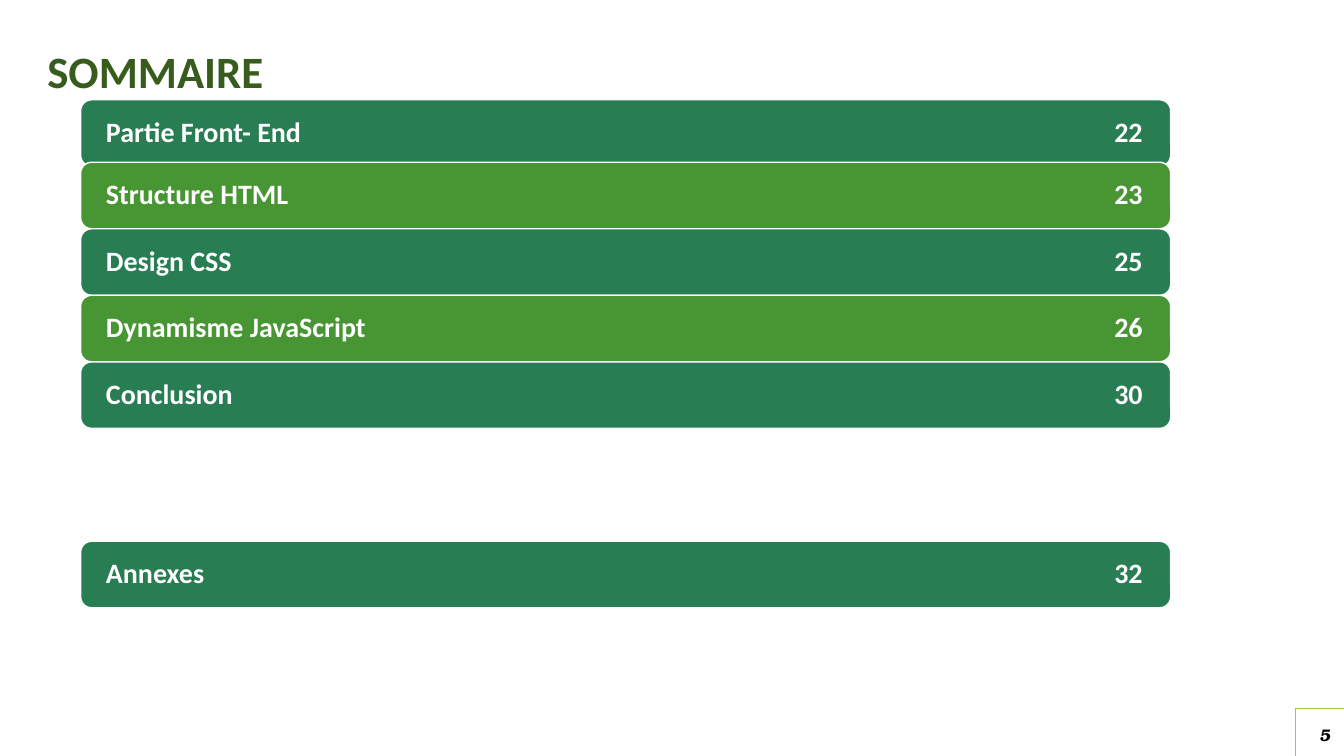
from lxml import etree
from pptx import Presentation
from pptx.dml.color import RGBColor
from pptx.enum import shapes, text
from pptx.oxml.ns import qn
from pptx.util import Inches, Pt

DARK_GREEN, LIGHT_GREEN = "297D53", "489633"
PITCH = 0.66
ENTRIES = [
    ("Partie Front- End", "22", 0.99),
    ("Structure HTML", "23", 1.61),
    ("Design CSS", "25", 1.61 + PITCH),
    ("Dynamisme JavaScript", "26", 1.61 + 2 * PITCH),
    ("Conclusion", "30", 1.61 + 3 * PITCH),
    ("Annexes", "32", 5.37),
]


def rgb(value):
    """Turn a hex string into a colour."""
    return RGBColor.from_string(value)


def add_run(p, words, size, color, font="Calibri", italic=False):
    """Add a bold formatted run to a paragraph."""
    r = p.add_run()
    r.text = words
    r.font.name, r.font.size = font, Pt(size)
    r.font.bold, r.font.italic = True, italic
    r.font.color.rgb = rgb(color)


def set_frame(tf, side=0):
    """Centre a text frame vertically with the given side margins."""
    tf.margin_left = tf.margin_right = Inches(side)
    tf.margin_top = tf.margin_bottom = 0
    tf.vertical_anchor = text.MSO_ANCHOR.MIDDLE
    tf.auto_size = text.MSO_AUTO_SIZE.NONE
    tf.word_wrap = True


def add_right_tab(p, position):
    """Give a paragraph one right-aligned tab stop."""
    tabs = etree.SubElement(p._p.get_or_add_pPr(), qn("a:tabLst"))
    etree.SubElement(tabs, qn("a:tab"), pos=str(Inches(position)), algn="r")


def add_box(s, kind, box, line, width, fill=None):
    """Add an outlined shape without shadow."""
    sp = s.shapes.add_shape(kind, *map(Inches, box))
    sp.shadow.inherit = False
    sp.line.color.rgb, sp.line.width = rgb(line), Pt(width)
    if fill:
        sp.fill.solid()
        sp.fill.fore_color.rgb = rgb(fill)
    else:
        sp.fill.background()
    return sp


def add_title(s, words):
    """Fill and place the title placeholder."""
    sp = s.shapes.title
    sp.left, sp.top, sp.width, sp.height = map(Inches, (0.47, 0.47, 12.4, 0.52))
    set_frame(sp.text_frame)
    p = sp.text_frame.paragraphs[0]
    p.alignment, p.line_spacing = text.PP_ALIGN.LEFT, 0.9
    add_run(p, words, 32, "375C1E")


def add_entry(s, label, page, top, fill):
    """Add one contents bar with its label and page number."""
    sp = add_box(s, shapes.MSO_SHAPE.ROUNDED_RECTANGLE,
                 (0.8, top, 10.82, 0.66), "FFFFFF", 1, fill)
    set_frame(sp.text_frame, 0.22)
    p = sp.text_frame.paragraphs[0]
    add_right_tab(p, 10.29)
    p.alignment, p.line_spacing = text.PP_ALIGN.LEFT, 0.9
    add_run(p, f"{label}\t{page}", 20, "FFFFFF")


def add_page_number(s, number):
    """Add the framed page number in the corner."""
    sp = add_box(s, shapes.MSO_SHAPE.RECTANGLE,
                 (12.86, 7.03, 0.58, 0.52), "9ACB39", 0.25)
    set_frame(sp.text_frame)
    p = sp.text_frame.paragraphs[0]
    p.alignment = text.PP_ALIGN.CENTER
    add_run(p, number, 12, "000000", "TeX Gyre Bonum", True)


def main():
    """Build the contents slide."""
    prs = Presentation()
    prs.slide_width, prs.slide_height = Inches(13.34), Inches(7.5)
    s = prs.slides.add_slide(prs.slide_layouts[5])
    add_title(s, "SOMMAIRE")
    for i, (label, page, top) in enumerate(ENTRIES):
        last = i == len(ENTRIES) - 1
        fill = LIGHT_GREEN if i % 2 and not last else DARK_GREEN
        add_entry(s, label, page, top, fill)
    add_page_number(s, "5")
    prs.save("out.pptx")


if __name__ == "__main__":
    main()
